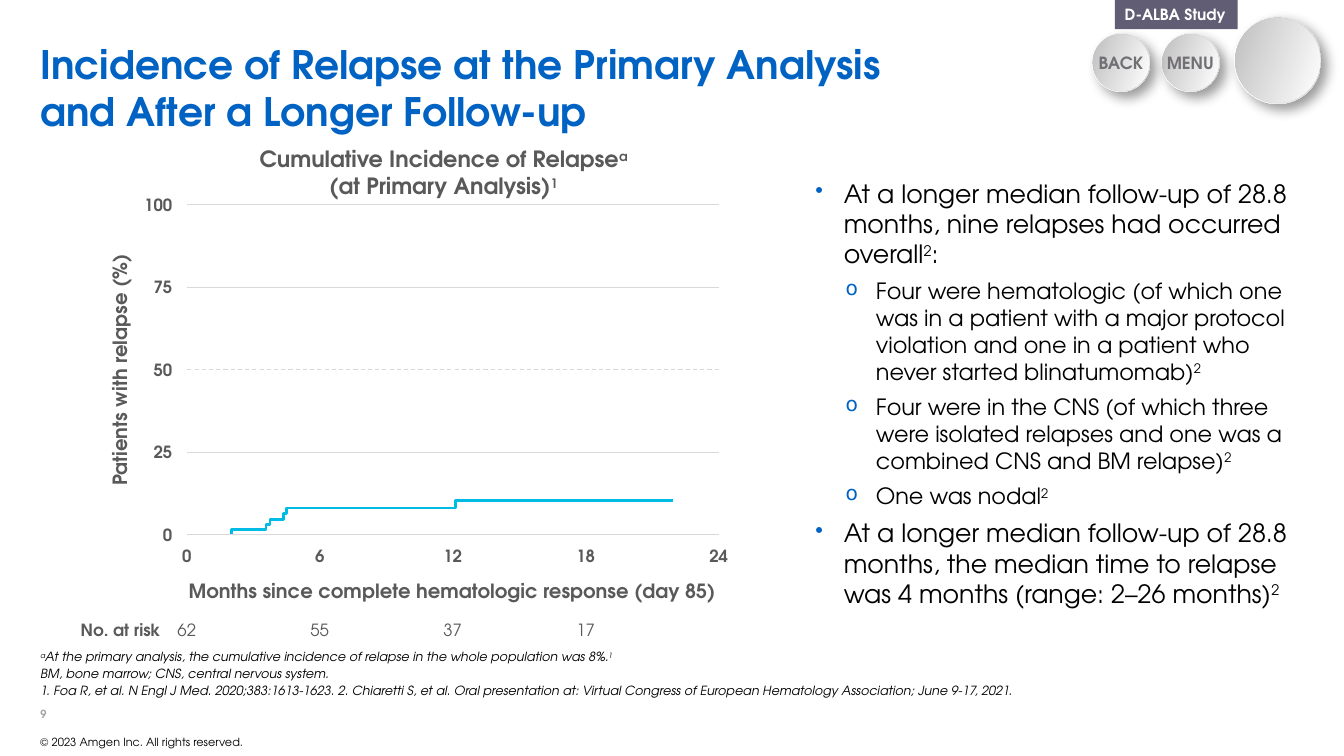
from dataclasses import dataclass
from typing import Optional

from lxml import etree
from pptx import Presentation
from pptx import util as u
from pptx.dml.color import RGBColor
from pptx.enum import dml, shapes, text
from pptx.oxml import parse_xml
from pptx.oxml.ns import qn

FONT = "TeX Gyre Adventor"
NS = "http://schemas.openxmlformats.org/drawingml/2006/main"
COLORS = {
    "blue": "0063C3", "black": "000000", "white": "FFFFFF", "gray": "595959",
    "button": "716F73", "number": "A6A6A6", "grid": "D9D9D9", "curve": "00BCE4",
    "tag": "605D75", "rim": "D6D6D6", "shade": "BFBFBF",
}
LEFT, CENTER, RIGHT = text.PP_ALIGN.LEFT, text.PP_ALIGN.CENTER, text.PP_ALIGN.RIGHT
TOP, MIDDLE, BOTTOM = text.MSO_ANCHOR.TOP, text.MSO_ANCHOR.MIDDLE, text.MSO_ANCHOR.BOTTOM


@dataclass
class Run:
    text: str
    sup: bool = False


@dataclass
class Para:
    runs: list[Run]
    size: Optional[float] = None
    bullet: str = ""
    margin: float = 0
    hang: float = 0


@dataclass
class Box:
    paras: list[Para]
    at: tuple[float, float, float, float]
    size: float
    color: str = "gray"
    bold: bool = False
    italic: bool = False
    align: text.PP_ALIGN = LEFT
    anchor: text.MSO_ANCHOR = TOP
    insets: tuple[float, float, float, float] = (0, 0, 0, 0)
    wrap: bool = True
    grow: bool = True
    after: float = 0
    rotation: float = 0


@dataclass
class Button:
    label: str
    x: float
    y: float
    size: float
    rim: float


def rgb(name: str) -> RGBColor:
    return RGBColor.from_string(COLORS[name])


def one(label: str) -> list[Para]:
    return [Para([Run(label)])]


def add_bullet(p, para: Para) -> None:
    pPr = p._p.get_or_add_pPr()
    pPr.set("marL", str(u.Pt(para.margin)))
    pPr.set("indent", str(u.Pt(-para.hang)))
    clr = etree.SubElement(pPr, qn("a:buClr"))
    etree.SubElement(clr, qn("a:srgbClr"), val=COLORS["blue"])
    etree.SubElement(pPr, qn("a:buSzPct"), val="90000")
    etree.SubElement(pPr, qn("a:buChar"), char=para.bullet)


def write_text(sp, box: Box) -> None:
    tf = sp.text_frame
    tf.word_wrap = box.wrap
    tf.vertical_anchor = box.anchor
    tf.auto_size = text.MSO_AUTO_SIZE.SHAPE_TO_FIT_TEXT if box.grow else text.MSO_AUTO_SIZE.NONE
    tf.margin_left, tf.margin_top, tf.margin_right, tf.margin_bottom = map(u.Pt, box.insets)
    for i, para in enumerate(box.paras):
        p = tf.add_paragraph() if i else tf.paragraphs[0]
        if para.bullet:
            add_bullet(p, para)
        p.alignment = box.align
        p.space_after = u.Pt(box.after)
        for run in para.runs:
            for n, line in enumerate(run.text.split("\n")):
                if n:
                    p.add_line_break()
                if not line:
                    continue
                r = p.add_run()
                r.text = line
                r.font.name = FONT
                r.font.size = u.Pt(para.size or box.size)
                r.font.bold, r.font.italic = box.bold, box.italic
                r.font.color.rgb = rgb(box.color)
                if run.sup:
                    r._r.get_or_add_rPr().set("baseline", "30000")


def add_text(s, box: Box) -> None:
    sp = s.shapes.add_textbox(*map(u.Pt, box.at))
    sp.rotation = box.rotation
    write_text(sp, box)


def add_disc(s, x: float, y: float, size: float, stops: tuple[str, str], angle: float):
    sp = s.shapes.add_shape(shapes.MSO_SHAPE.OVAL, u.Pt(x), u.Pt(y), u.Pt(size), u.Pt(size))
    sp.shadow.inherit = False
    sp.line.fill.background()
    sp.fill.gradient()
    sp.fill.gradient_angle = angle
    for stop, name, position in zip(sp.fill.gradient_stops, stops, (0, 1)):
        stop.color.rgb = rgb(name)
        stop.position = position
    return sp


def add_button(s, b: Button) -> None:
    sp = add_disc(s, b.x, b.y, b.size, ("white", "rim"), 0)
    effects = sp._element.spPr.find(qn("a:effectLst"))
    effects.append(parse_xml(
        f'<a:outerShdw xmlns:a="{NS}" blurRad="{u.Pt(9)}" dist="{u.Pt(6)}" dir="2700000">'
        f'<a:srgbClr val="{COLORS["black"]}"><a:alpha val="40000"/></a:srgbClr></a:outerShdw>'))
    inner = b.size - 2 * b.rim
    add_disc(s, b.x + b.rim, b.y + b.rim, inner, ("shade", "white"), 340)
    if b.label:
        add_text(s, Box(one(b.label), (b.x + b.rim, 33.8, inner, 21.6), 12, "button", True,
                        align=CENTER, insets=(0, 3.6, 0, 3.6)))


def add_gridline(s, y: float, dashed: bool) -> None:
    sp = s.shapes.add_connector(shapes.MSO_CONNECTOR.STRAIGHT,
                                u.Pt(PLOT_RIGHT), u.Pt(y), u.Pt(PLOT_LEFT), u.Pt(y))
    sp.line.color.rgb = rgb("grid")
    sp.line.width = u.Pt(0.75)
    if dashed:
        sp.line.dash_style = dml.MSO_LINE.DASH
    etree.SubElement(sp._element.spPr, qn("a:effectLst"))


PLOT_LEFT, PLOT_RIGHT, PLOT_TOP, PLOT_BOTTOM = 133.9, 513.4, 146.2, 381.8
TICK_GAP = 95


def plot_point(month: float, percent: float) -> tuple[int, int]:
    x = PLOT_LEFT + (PLOT_RIGHT - PLOT_LEFT) * month / 24
    y = PLOT_BOTTOM - (PLOT_BOTTOM - PLOT_TOP) * percent / 100
    return u.Pt(x), u.Pt(y)


def add_curve(s, steps: list[tuple[float, float]], end: float) -> None:
    points, level = [], 0.0
    for month, percent in steps:
        points += [plot_point(month, level), plot_point(month, percent)]
        level = percent
    points.append(plot_point(end, level))
    builder = s.shapes.build_freeform(*points[0])
    builder.add_line_segments(points[1:], close=False)
    sp = builder.convert_to_shape()
    sp.shadow.inherit = False
    sp.fill.background()
    sp.line.color.rgb = rgb("curve")
    sp.line.width = u.Pt(2)


def add_plot(s) -> None:
    for i, label in enumerate(("100", "75", "50", "25", "0")):
        y = PLOT_TOP + i * (PLOT_BOTTOM - PLOT_TOP) / 4
        add_gridline(s, y, label == "50")
        width = 7.2 + 6.7 * len(label)
        add_text(s, Box(one(label), (123.1 - width, y - 7.2, width, 14.4), 12, bold=True,
                        align=RIGHT, anchor=MIDDLE, insets=(7.2, 0, 0, 0), wrap=False))
    rows = [(389.5, True, ("0", "6", "12", "18", "24")),
            (442.8, False, ("62", "55", "37", "17"))]
    for y, bold, labels in rows:
        for i, label in enumerate(labels):
            width = 6.7 * len(label)
            x = 133.4 + i * TICK_GAP - width / 2
            add_text(s, Box(one(label), (x, y, width, 14.4), 12, bold=bold, align=CENTER,
                            anchor=MIDDLE, wrap=False))
    add_curve(s, [(2, 1.6), (3.55, 3.1), (3.73, 4.6), (4.33, 6.4), (4.46, 8), (12.11, 10.4)], 21.95)


def main() -> None:
    prs = Presentation()
    prs.slide_width, prs.slide_height = u.Pt(960), u.Pt(540)
    s = prs.slides.add_slide(prs.slide_layouts[6])

    def point(words: str, tail: str = "") -> Para:
        return Para([Run(words), Run("2", True), Run(tail)], 18, "•", 20.2, 20.2)

    def detail(words: str) -> Para:
        return Para([Run(words), Run("2", True)], 16, "o", 43.2, 21.6)

    findings = [
        point("At a longer median follow-up of 28.8 months, nine relapses had occurred overall", ":"),
        detail("Four were hematologic (of which one was in a patient with a major protocol "
               "violation and one in a patient who never started blinatumomab)"),
        detail("Four were in the CNS (of which three were isolated relapses and one was a "
               "combined CNS and BM relapse)"),
        detail("One was nodal"),
        point("At a longer median follow-up of 28.8 months, the median time to relapse was "
              "4 months (range: 2–26 months)"),
    ]
    footnotes = [
        Para([Run("a", True), Run("At the primary analysis, the cumulative incidence of relapse "
                                  "in the whole population was 8%."), Run("1", True)]),
        *one("BM, bone marrow; CNS, central nervous system."),
        *one("1. Foa R, et al. N Engl J Med. 2020;383:1613-1623. 2. Chiaretti S, et al. Oral "
             "presentation at: Virtual Congress of European Hematology Association; June 9-17, 2021."),
    ]
    heading = [Para([Run("Cumulative Incidence of Relapse"), Run("a", True),
                     Run("\n(at Primary Analysis)"), Run("1", True)])]
    boxes = [
        Box(one("9"), (28.8, 498.2, 32.4, 16.6), 8, "number", True, anchor=BOTTOM, grow=False),
        Box(one("© 2023 Amgen Inc. All rights reserved."), (21.6, 515.5, 160.6, 24.5), 8, "black",
            anchor=BOTTOM, insets=(7.2, 7.2, 7.2, 7.2), wrap=False),
        Box(findings, (573.1, 122.4, 357.8, 319.7), 18, "black", insets=(9.4, 5, 9.4, 5), after=6),
        Box(footnotes, (28.8, 459.4, 704.2, 38.9), 9, "black", italic=True, anchor=BOTTOM,
            grow=False, after=1),
        Box(one("Incidence of Relapse at the Primary Analysis\nand After a Longer Follow-up"),
            (28.8, 28.8, 902.2, 67.7), 28, "blue", True),
        Box(one("Patients with relapse (%)"), (-32.4, 255.6, 235.4, 17.3), 14, bold=True,
            align=CENTER, anchor=MIDDLE, rotation=270),
        Box(one("Months since complete hematologic response (day 85)"),
            (133.9, 413.3, 378.7, 17.3), 14, bold=True, align=CENTER, anchor=MIDDLE),
        Box(one("No. at risk"), (57.6, 442.8, 58.3, 14.4), 12, bold=True, anchor=MIDDLE, wrap=False),
        Box(heading, (106.6, 108.7, 420.5, 31), 16, bold=True, align=CENTER, anchor=MIDDLE,
            insets=(7.2, 1.4, 7.2, 3.6), grow=False),
    ]
    for box in boxes:
        add_text(s, box)
    for button in (Button("", 881.3, 11.8, 62.6, 0.9), Button("MENU", 829.4, 23.8, 41.8, 0.7),
                   Button("BACK", 779.8, 23.8, 41.8, 0.7)):
        add_button(s, button)

    tag = Box(one("D-ALBA Study"), (796.3, 0, 87.8, 20.9), 11, "white", True,
              insets=(7.2, 3.6, 7.2, 3.6), wrap=False)
    sp = s.shapes.add_shape(shapes.MSO_SHAPE.RECTANGLE, *map(u.Pt, tag.at))
    sp.shadow.inherit = False
    sp.fill.solid()
    sp.fill.fore_color.rgb = rgb("tag")
    sp.line.fill.background()
    write_text(sp, tag)

    add_plot(s)
    prs.save("out.pptx")


if __name__ == "__main__":
    main()
